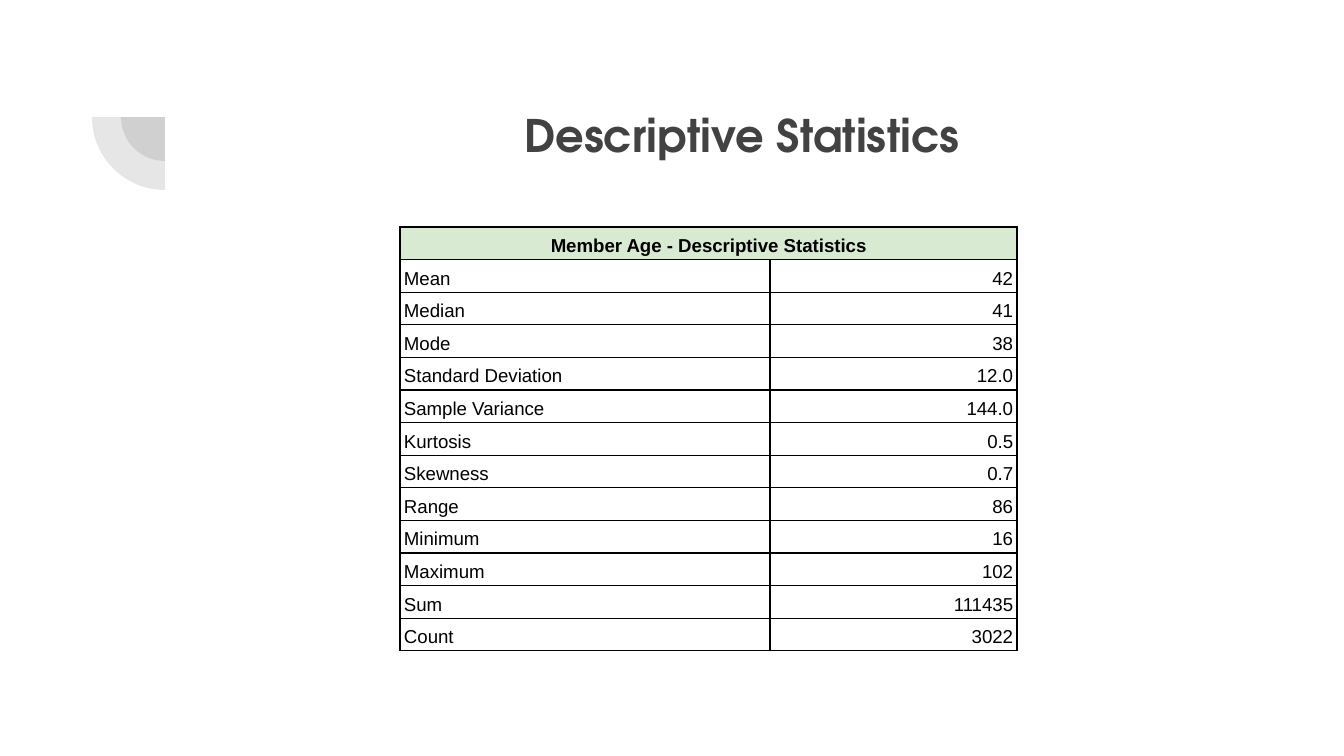
from lxml.etree import SubElement
from pptx import Presentation
from pptx.dml.color import RGBColor
from pptx.enum.shapes import MSO_SHAPE
from pptx.enum.text import MSO_ANCHOR, PP_ALIGN
from pptx.oxml.ns import qn
from pptx.util import Pt

EMU_PER_PX = 914400 / 134.4

STATISTICS = [
    ("Mean", "42"),
    ("Median", "41"),
    ("Mode", "38"),
    ("Standard Deviation", "12.0"),
    ("Sample Variance", "144.0"),
    ("Kurtosis", "0.5"),
    ("Skewness", "0.7"),
    ("Range", "86"),
    ("Minimum", "16"),
    ("Maximum", "102"),
    ("Sum", "111435"),
    ("Count", "3022"),
]


def px(length):
    return round(length * EMU_PER_PX)


def color(value):
    return RGBColor.from_string(value)


class SlideBuilder:
    GRAY = "424242"
    BLACK = "000000"
    HEADER_FILL = "D9EAD3"
    TITLE_FONT = "TeX Gyre Adventor"
    TABLE_FONT = "Arial"

    def __init__(self, page):
        self.page = page

    def style(self, para, font_name, size, hex_color, bold, align):
        para.alignment = align
        para.line_spacing = 1.15
        para.font.name = font_name
        para.font.size = Pt(size)
        para.font.bold = bold
        para.font.color.rgb = color(hex_color)

    def title(self, text, left, top, width, height):
        box = self.page.shapes.title
        box.left, box.top, box.width, box.height = map(px, (left, top, width, height))
        frame = box.text_frame
        frame.text = text
        frame.word_wrap = True
        frame.vertical_anchor = MSO_ANCHOR.TOP
        frame.margin_left = frame.margin_right = px(13)
        frame.margin_top = frame.margin_bottom = px(13)
        para = frame.paragraphs[0]
        self.style(para, self.TITLE_FONT, 24, self.GRAY, True, PP_ALIGN.CENTER)
        para.space_before = Pt(0)
        para.space_after = Pt(16)
        properties = para._p.get_or_add_pPr()
        properties.set("marL", str(px(67)))
        properties.set("indent", "0")

    def quarter(self, center_x, center_y, radius):
        pie = self.page.shapes.add_shape(
            MSO_SHAPE.PIE, px(center_x - radius), px(center_y - radius),
            px(2 * radius), px(2 * radius))
        # Angles of 180 and 270 degrees, in the units of the preset
        pie.adjustments[0], pie.adjustments[1] = 108, 162
        pie.rotation = 270
        pie.shadow.inherit = False
        pie.line.fill.background()
        pie.fill.solid()
        pie.fill.fore_color.rgb = color(self.GRAY)
        tint = pie.fill._xPr.find(qn("a:solidFill"))[0]
        SubElement(tint, qn("a:alpha"), val="13000")

    def borders(self, cell):
        properties = cell._tc.get_or_add_tcPr()
        for side in ("L", "R", "T", "B"):
            line = SubElement(properties, qn(f"a:ln{side}"), w=str(Pt(0.75)))
            fill = SubElement(line, qn("a:solidFill"))
            SubElement(fill, qn("a:srgbClr"), val=self.BLACK)

    def cell(self, cell, text, align, bold=False, fill=None):
        cell.text = text
        cell.vertical_anchor = MSO_ANCHOR.BOTTOM
        cell.margin_left = cell.margin_right = px(4)
        cell.margin_top = cell.margin_bottom = px(3)
        self.style(cell.text_frame.paragraphs[0], self.TABLE_FONT, 10,
                   self.BLACK, bold, align)
        self.borders(cell)
        if fill:
            cell.fill.solid()
            cell.fill.fore_color.rgb = color(fill)
        else:
            cell.fill.background()

    def table(self, heading, rows, left, top, widths, height):
        table = self.page.shapes.add_table(
            len(rows) + 1, len(widths), px(left), px(top),
            px(sum(widths)), px(height)).table
        table.first_row = table.horz_banding = False
        for column, width in zip(table.columns, widths):
            column.width = px(width)

        # Heading across all columns
        first, last = table.cell(0, 0), table.cell(0, len(widths) - 1)
        first.merge(last)
        self.cell(first, heading, PP_ALIGN.CENTER, True, self.HEADER_FILL)
        self.borders(last)

        # Names on the left, values on the right
        for row, (name, value) in enumerate(rows, 1):
            self.cell(table.cell(row, 0), name, PP_ALIGN.LEFT)
            self.cell(table.cell(row, 1), value, PP_ALIGN.RIGHT)


def main():
    deck = Presentation()
    deck.slide_width, deck.slide_height = px(1344), px(756)
    builder = SlideBuilder(deck.slides.add_slide(deck.slide_layouts[5]))

    # Corner ornament
    for radius in (44, 73):
        builder.quarter(165, 117, radius)

    # Title and table
    builder.title("Descriptive Statistics", 192, 87, 1033, 147)
    builder.table("Member Age - Descriptive Statistics", STATISTICS,
                  400, 227, (370, 247), 424)

    deck.save("out.pptx")


if __name__ == "__main__":
    main()
